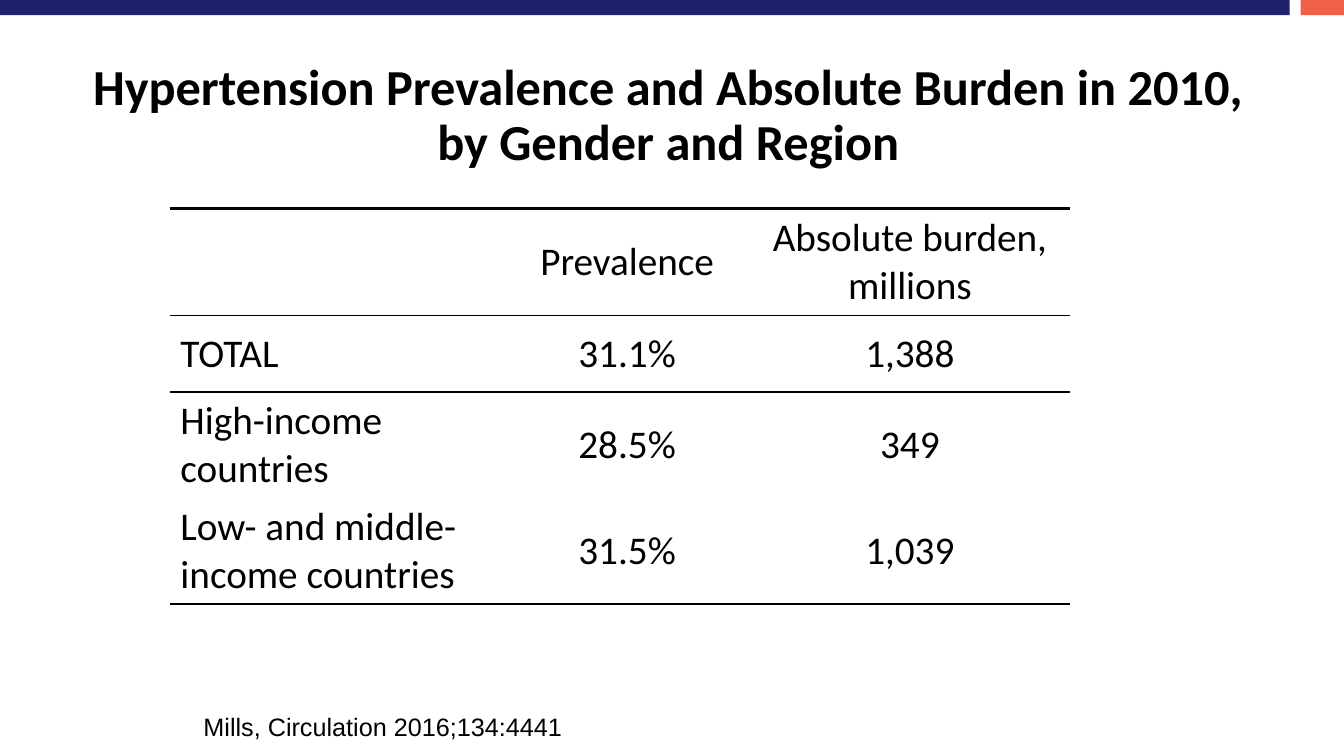
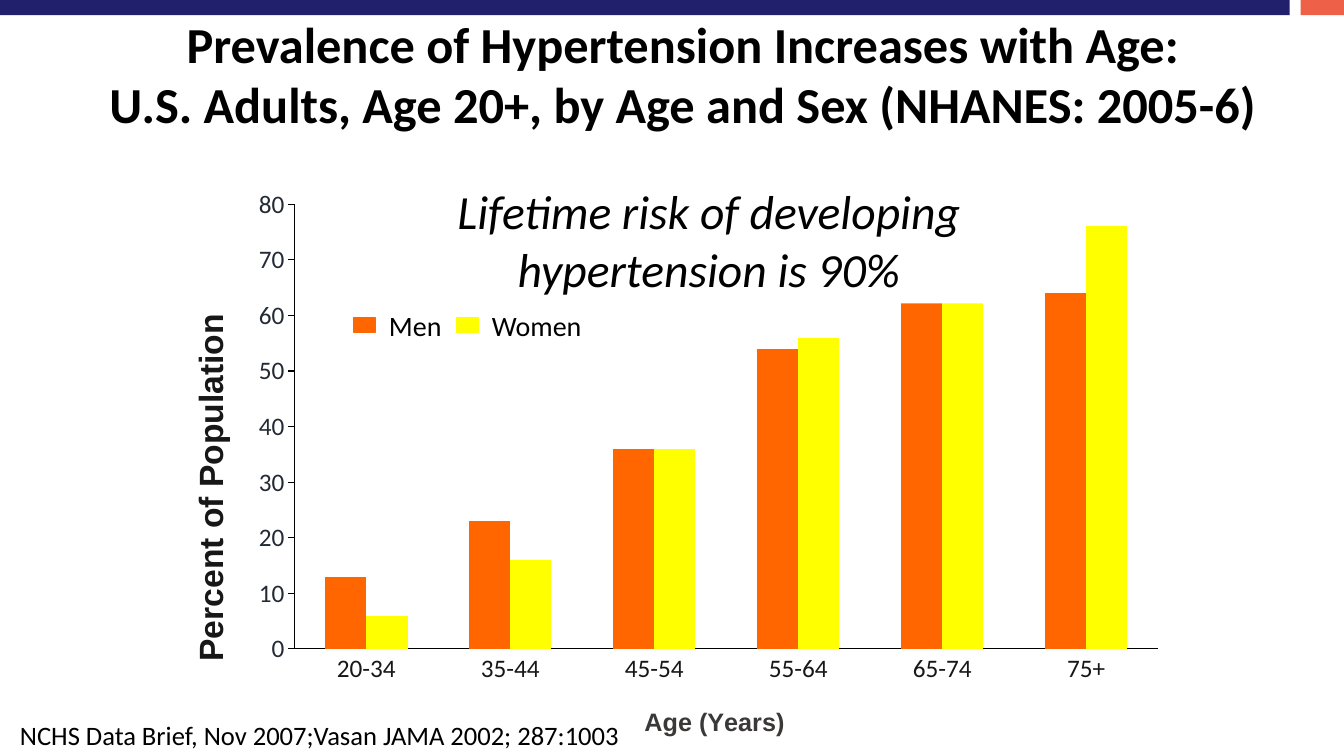
"""Build two slides on hypertension prevalence: a table and a column chart."""
from dataclasses import dataclass

from lxml import etree
from pptx import Presentation
from pptx.chart.data import CategoryChartData
from pptx.dml.color import RGBColor
from pptx.enum.chart import XL_CHART_TYPE, XL_TICK_MARK
from pptx.enum.shapes import MSO_SHAPE
from pptx.enum.text import MSO_ANCHOR, MSO_AUTO_SIZE, PP_ALIGN
from pptx.oxml.ns import qn
from pptx.util import Inches, Pt

LEFT, CENTER = PP_ALIGN.LEFT, PP_ALIGN.CENTER
TOP, MIDDLE, BOTTOM = MSO_ANCHOR.TOP, MSO_ANCHOR.MIDDLE, MSO_ANCHOR.BOTTOM
RECTANGLE = MSO_SHAPE.RECTANGLE
COLUMNS = XL_CHART_TYPE.COLUMN_CLUSTERED
TICK_NONE, TICK_OUTSIDE = XL_TICK_MARK.NONE, XL_TICK_MARK.OUTSIDE
NO_AUTOFIT = MSO_AUTO_SIZE.NONE
PLAIN_TABLE = "{2D5ABB26-0587-4C30-8999-92F81FD0307C}"


@dataclass(frozen=True)
class Theme:
    body_font: str = "Calibri"
    plain_font: str = "Arial"
    black: str = "000000"
    white: str = "FFFFFF"
    navy: str = "20206C"
    coral: str = "EE6048"
    men: str = "FF6600"
    women: str = "FFFF00"
    value_label: str = "222A35"
    dark: str = "181717"
    age_title: str = "3B3838"
    title: int = 36
    callout: int = 34
    table: int = 28
    value_title: int = 24
    legend: int = 20
    wide_source: int = 19
    small: int = 18
    thick: float = 2.25
    thin: float = 1
    axis: float = 0.75


class Slides:
    """Hold the deck, its theme and the slide being built."""

    def __init__(self, theme):
        self.theme = theme
        self.deck = Presentation()
        self.deck.slide_width = Inches(13.33)
        self.deck.slide_height = Inches(7.5)
        self.page = None

    def new_page(self, title, area, anchor, spacing):
        self.page = self.deck.slides.add_slide(self.deck.slide_layouts[5])
        self.rectangle((12.9, 0, 0.43, 0.15), self.theme.coral)
        self.rectangle((0, 0, 12.79, 0.15), self.theme.navy)
        box = self.page.shapes.title
        box.left, box.top, box.width, box.height = map(Inches, area)
        frame = box.text_frame
        frame.auto_size = NO_AUTOFIT
        self.fill_frame(frame, title, self.theme.title, CENTER, anchor, bold=True)
        frame.paragraphs[0].line_spacing = spacing

    def style(self, font, size, color=None, name=None, bold=False, italic=False):
        font.name = name or self.theme.body_font
        font.size = Pt(size)
        font.bold = bold
        font.italic = italic
        font.color.rgb = RGBColor.from_string(color or self.theme.black)

    def fill_frame(self, frame, words, size, align=LEFT, anchor=TOP, **look):
        frame.word_wrap = True
        frame.vertical_anchor = anchor
        paragraph = frame.paragraphs[0]
        paragraph.text = words
        paragraph.alignment = align
        self.style(paragraph.font, size, **look)

    def text(self, words, area, size, **look):
        box = self.page.shapes.add_textbox(*map(Inches, area))
        self.fill_frame(box.text_frame, words, size, **look)

    def rectangle(self, area, color, outlined=False):
        box = self.page.shapes.add_shape(RECTANGLE, *map(Inches, area))
        box.shadow.inherit = False
        box.fill.solid()
        box.fill.fore_color.rgb = RGBColor.from_string(color)
        if outlined:
            box.line.color.rgb = RGBColor.from_string(color)
            box.line.width = Pt(self.theme.thin)
        else:
            box.line.fill.background()
        return box

    def callout(self, words, area):
        box = self.rectangle(area, self.theme.white)
        self.fill_frame(box.text_frame, words, self.theme.callout, CENTER, italic=True)

    def legend(self, entries, left, top, step):
        for index, (name, color) in enumerate(entries):
            start = left + index * step
            self.rectangle((start, top, 0.21, 0.15), color, outlined=True)
            self.text(name, (start + 0.25, top - 0.14, 1.2, 0.44), self.theme.legend)

    def border(self, cell, side, width):
        line = etree.SubElement(cell._tc.get_or_add_tcPr(), qn(f"a:{side}"),
                                w=str(Pt(width)))
        fill = etree.SubElement(line, qn("a:solidFill"))
        etree.SubElement(fill, qn("a:srgbClr"), val=self.theme.black)

    def table(self, rows, left, top, widths, heights):
        shape = self.page.shapes.add_table(
            len(rows), len(widths), Inches(left), Inches(top),
            Inches(sum(widths)), Inches(sum(heights)))
        next(shape.element.iter(qn("a:tableStyleId"))).text = PLAIN_TABLE
        table = shape.table
        table.first_row = table.horz_banding = False
        for column, width in zip(table.columns, widths):
            column.width = Inches(width)
        thick, thin = self.theme.thick, self.theme.thin
        last = len(rows) - 1
        for index, words in enumerate(rows):
            table.rows[index].height = Inches(heights[index])
            edges = {0: {"lnT": thick, "lnB": thin}, 1: {"lnT": thin},
                     last: {"lnB": thick}}.get(index, {})
            for position, word in enumerate(words):
                cell = table.cell(index, position)
                for side, width in edges.items():
                    self.border(cell, side, width)
                cell.fill.background()
                cell.vertical_anchor = MIDDLE
                paragraph = cell.text_frame.paragraphs[0]
                paragraph.text = word
                paragraph.alignment = CENTER if position else LEFT
                self.style(paragraph.font, self.theme.table)

    def place(self, element, **fractions):
        old = element.find(qn("c:layout"))
        if old is not None:
            element.remove(old)
        layout = etree.Element(qn("c:layout"))
        manual = etree.SubElement(layout, qn("c:manualLayout"))
        if "w" in fractions:
            etree.SubElement(manual, qn("c:layoutTarget"), val="inner")
        for key in ("x", "y"):
            etree.SubElement(manual, qn(f"c:{key}Mode"), val="edge")
        for key, value in fractions.items():
            etree.SubElement(manual, qn(f"c:{key}"), val=str(value))
        element.insert(0 if element.find(qn("c:tx")) is None else 1, layout)

    def axis(self, axis, title, spot, size, title_color, label_color, tick, turn):
        axis.has_major_gridlines = False
        axis.major_tick_mark = tick
        axis.minor_tick_mark = TICK_NONE
        axis.format.line.color.rgb = RGBColor.from_string(self.theme.black)
        axis.format.line.width = Pt(self.theme.axis)
        self.style(axis.tick_labels.font, self.theme.small, label_color)
        heading = axis.axis_title
        paragraph = heading.text_frame.paragraphs[0]
        paragraph.text = title
        self.style(paragraph.font, size, title_color, self.theme.plain_font, bold=True)
        title_element = paragraph.font._element.getroottree().getroot()
        heading_element = next(
            part for part in title_element.iter(qn("c:title"))
            if title in "".join(part.itertext()))
        next(heading_element.iter(qn("a:bodyPr"))).set("rot", str(turn))
        self.place(heading_element, x=spot[0], y=spot[1])

    def column_chart(self, area, categories, series):
        theme = self.theme
        data = CategoryChartData()
        data.categories = categories
        for name, color, values in series:
            data.add_series(name, values)
        chart = self.page.shapes.add_chart(COLUMNS, *map(Inches, area), data).chart
        chart.has_legend = chart.has_title = False
        self.style(chart.font, theme.small)
        plot = chart.plots[0]
        plot.gap_width, plot.overlap = 150, 0
        plot.vary_by_categories = False
        for bars, (name, color, values) in zip(plot.series, series):
            bars.format.fill.solid()
            bars.format.fill.fore_color.rgb = RGBColor.from_string(color)
        value_axis = chart.value_axis
        value_axis.minimum_scale, value_axis.maximum_scale = 0, 80
        value_axis.major_unit = 10
        self.axis(chart.category_axis, "Age (Years)", (0.47, 0.91), theme.small,
                  theme.age_title, theme.dark, TICK_NONE, 0)
        self.axis(value_axis, "Percent of Population", (0.02, 0.23), theme.value_title,
                  theme.dark, theme.value_label, TICK_OUTSIDE, -5400000)
        self.place(next(chart.element.iter(qn("c:plotArea"))),
                   x=0.13, y=0.05, w=0.85, h=0.77)


def main():
    theme = Theme()
    slides = Slides(theme)

    slides.new_page("Hypertension Prevalence and Absolute Burden in 2010,\v"
                    "by Gender and Region", (0.75, 0.3, 11.76, 1.45), BOTTOM, 0.9)
    slides.table([
        ("", "Prevalence", "Absolute burden, millions"),
        ("TOTAL", "31.1%", "1,388"),
        ("High-income countries", "28.5%", "349"),
        ("Low- and middle-income countries", "31.5%", "1,039"),
    ], 1.69, 2.07, (3.31, 2.44, 3.17), (1.06, 0.76, 1.03, 1.03))
    slides.text("Mills, Circulation 2016;134:4441", (1.92, 7.01, 4.5, 0.4),
                theme.small, name=theme.plain_font)

    slides.new_page("Prevalence of Hypertension Increases with Age:\v"
                    "U.S. Adults, Age 20+, by Age and Sex (NHANES: 2005-6)",
                    (0.44, 0.08, 12.67, 1.25), TOP, 1.0)
    series = [("Men", theme.men, (13, 23, 36, 54, 65, 64)),
              ("Women", theme.women, (6, 16, 36, 56, 70, 76))]
    slides.column_chart((1.61, 1.74, 10.08, 5.73),
                        ("20-34", "35-44", "45-54", "55-64", "65-74", "75+"), series)
    slides.callout("Lifetime risk of developing hypertension is 90%",
                   (3.72, 1.76, 6.62, 1.25))
    slides.text("NCHS Data Brief, Nov 2007;Vasan JAMA 2002; 287:1003",
                (0.1, 7.08, 6.26, 0.42), theme.wide_source)
    slides.legend([(name, color) for name, color, values in series], 3.51, 3.15, 1.02)

    slides.deck.save("out.pptx")


if __name__ == "__main__":
    main()
